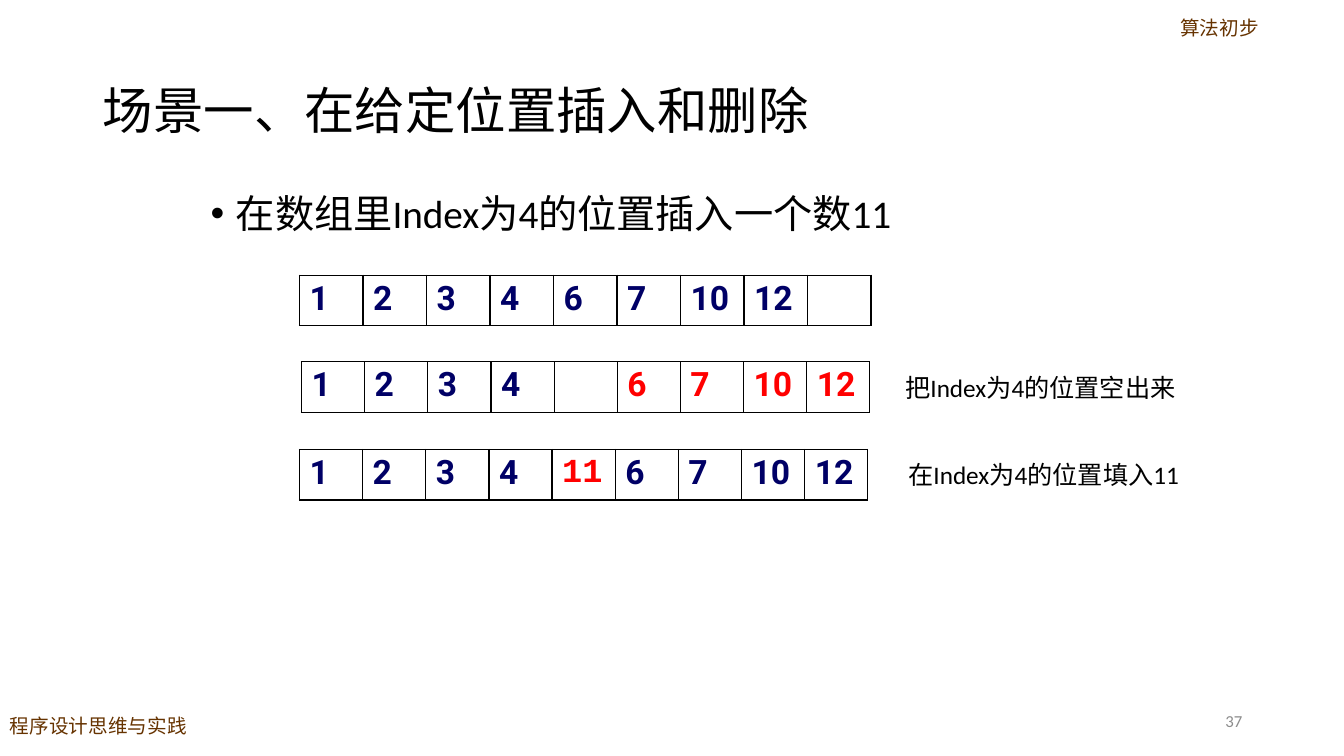
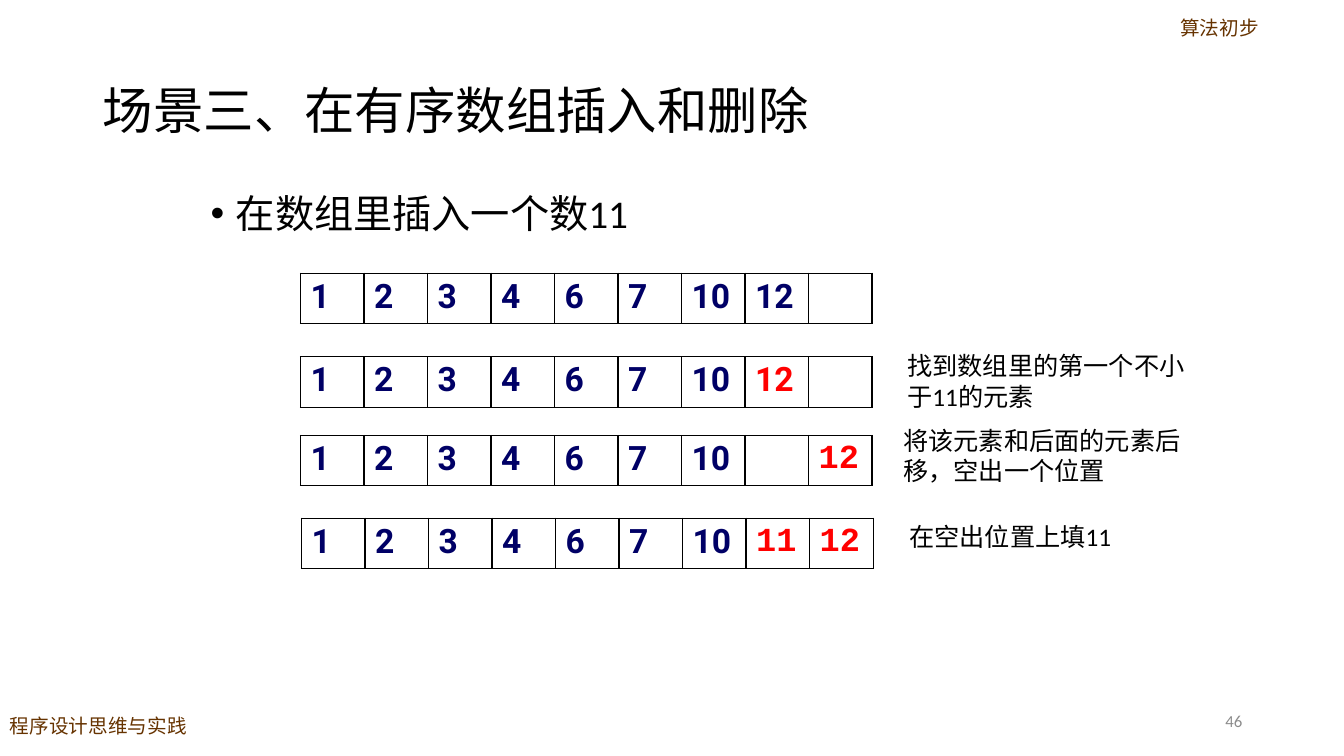
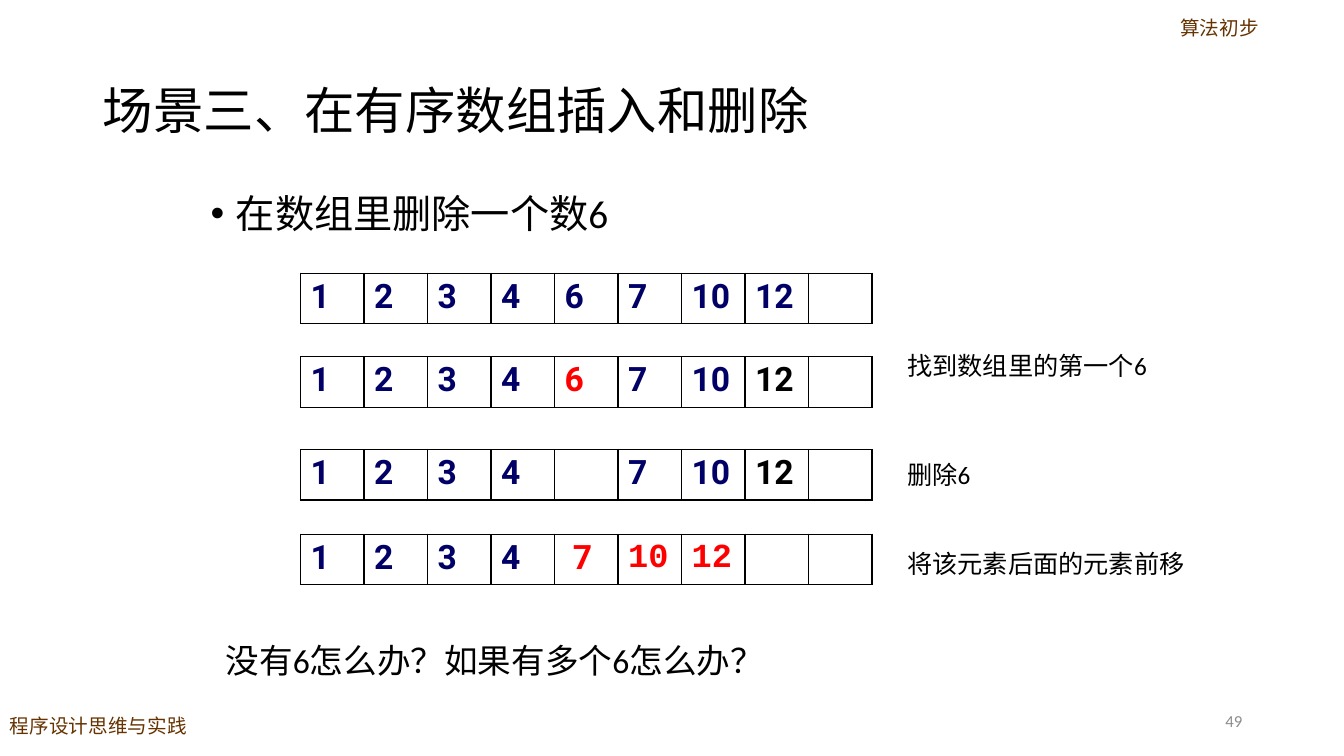
from lxml.etree import SubElement
from pptx import Presentation
from pptx.dml.color import RGBColor
from pptx.enum.text import MSO_ANCHOR, PP_ALIGN
from pptx.oxml.ns import qn
from pptx.util import Inches, Pt

BLACK, BROWN, GREY, NAVY, RED = "000000", "663300", "8C8C8C", "000066", "FF0000"
CJK, MONO, DIGITS = "Noto Sans CJK SC", "Courier New", "Roboto"
FULL = ["1", "2", "3", "4", "6", "7", "10", "12", ""]


def style(p, size, color=BLACK, font="Calibri", bold=False, spacing=None, align=PP_ALIGN.LEFT):
    p.alignment = align
    p.space_before = Pt(0)
    p.line_spacing = spacing
    for r in p.runs:
        r.font.size = Pt(size)
        r.font.bold = bold
        r.font.name = font
        r.font.color.rgb = RGBColor.from_string(color)
        SubElement(r.font._element, qn("a:ea")).set("typeface", CJK)


def add_text(s, text, left, top, width, height, size, anchor=MSO_ANCHOR.TOP, **look):
    tf = s.shapes.add_textbox(Inches(left), Inches(top), Inches(width), Inches(height)).text_frame
    tf.word_wrap = True
    tf.vertical_anchor = anchor
    tf.text = text
    style(tf.paragraphs[0], size, **look)


# Arrays: left, top, width, values, {index: (color, font)}
# Notes: left, top, width, height, size, text
slides = [
    dict(
        title="场景一、在给定位置插入和删除",
        task="在数组里Index为4的位置插入一个数11",
        number="37",
        arrays=[
            (2.97, 2.73, 5.67, FULL, {}),
            (2.99, 3.59, 5.64, ["1", "2", "3", "4", "", "6", "7", "10", "12"],
             {i: (RED, DIGITS) for i in range(5, 9)}),
            (2.97, 4.46, 5.64, ["1", "2", "3", "4", "11", "6", "7", "10", "12"],
             {4: (RED, MONO)}),
        ],
        notes=[
            (8.88, 3.64, 2.92, 0.4, 18, "把Index为4的位置空出来"),
            (8.91, 4.51, 2.91, 0.4, 18, "在Index为4的位置填入11"),
        ],
    ),
    dict(
        title="场景三、在有序数组插入和删除",
        task="在数组里插入一个数11",
        number="46",
        arrays=[
            (2.98, 2.71, 5.67, FULL, {}),
            (2.98, 3.54, 5.67, FULL, {7: (RED, DIGITS)}),
            (2.98, 4.32, 5.67, ["1", "2", "3", "4", "6", "7", "10", "", "12"],
             {8: (RED, MONO)}),
            (2.99, 5.14, 5.67, ["1", "2", "3", "4", "6", "7", "10", "11", "12"],
             {7: (RED, MONO), 8: (RED, MONO)}),
        ],
        notes=[
            (8.9, 3.43, 2.99, 0.71, 18, "找到数组里的第一个不小于11的元素"),
            (8.86, 4.17, 2.99, 0.71, 18, "将该元素和后面的元素后移，空出一个位置"),
            (8.92, 5.12, 2.99, 0.4, 18, "在空出位置上填11"),
        ],
    ),
    dict(
        title="场景三、在有序数组插入和删除",
        task="在数组里删除一个数6",
        number="49",
        arrays=[
            (2.98, 2.71, 5.67, FULL, {}),
            (2.98, 3.54, 5.67, FULL, {4: (RED, DIGITS), 7: (BLACK, DIGITS)}),
            (2.98, 4.46, 5.67, ["1", "2", "3", "4", "", "7", "10", "12", ""],
             {7: (BLACK, DIGITS)}),
            (2.98, 5.3, 5.67, ["1", "2", "3", "4", " 7", "10", "12", "", ""],
             {4: (RED, DIGITS), 5: (RED, MONO), 6: (RED, MONO)}),
        ],
        notes=[
            (8.9, 3.43, 2.99, 0.4, 18, "找到数组里的第一个6"),
            (8.9, 4.51, 2.99, 0.4, 18, "删除6"),
            (8.9, 5.39, 2.99, 0.4, 18, "将该元素后面的元素前移"),
            (2.14, 6.3, 6.78, 0.5, 24, "没有6怎么办？如果有多个6怎么办？"),
        ],
    ),
]

prs = Presentation()
prs.slide_width, prs.slide_height = Inches(13.33), Inches(7.5)

# Title and body places, set once on the layout
layout = prs.slide_layouts[1]
places = [(0.92, 0.4, 11.5, 1.45), (1.99, 1.88, 9.34, 4.76)]
for sp, place in zip(layout.placeholders, places):
    sp.left, sp.top, sp.width, sp.height = map(Inches, place)

for data in slides:
    s = prs.slides.add_slide(layout)

    # Header, footer and page number
    add_text(s, "程序设计思维与实践", 0, 7.06, 2.89, 0.44, 14,
             color=BROWN, font="Arial", spacing=0.9)
    add_text(s, "算法初步", 10.86, 0.13, 2.47, 0.39, 14,
             color=BROWN, font=CJK, spacing=0.9, align=PP_ALIGN.CENTER)
    add_text(s, data["number"], 9.42, 6.95, 3, 0.4, 12, anchor=MSO_ANCHOR.MIDDLE,
             color=GREY, align=PP_ALIGN.RIGHT)

    # Title and task
    s.shapes.title.text_frame.text = data["title"]
    style(s.shapes.title.text_frame.paragraphs[0], 36, font="Arial", spacing=0.9)
    body = s.placeholders[1].text_frame
    body.text = data["task"]
    p = body.paragraphs[0]
    style(p, 28, spacing=0.9)
    pPr = p._p.get_or_add_pPr()
    pPr.set("marL", str(Inches(0.25)))
    pPr.set("indent", str(Inches(-0.25)))

    # Array states
    for left, top, width, values, marks in data["arrays"]:
        table = s.shapes.add_table(1, len(values), Inches(left), Inches(top),
                                   Inches(width), Inches(0.5)).table
        table.first_row = table.horz_banding = False
        for i, value in enumerate(values):
            cell = table.cell(0, i)
            cell.text = value
            color, font = marks.get(i, (NAVY, DIGITS))
            style(cell.text_frame.paragraphs[0], 24, color, font, True, 0.95)
            tcPr = cell._tc.get_or_add_tcPr()
            for side in ("lnL", "lnR", "lnT", "lnB"):
                ln = SubElement(tcPr, qn(f"a:{side}"), w=str(Pt(1)))
                fill = SubElement(ln, qn("a:solidFill"))
                SubElement(fill, qn("a:srgbClr"), val=BLACK)
            cell.fill.background()

    # Explanations
    for left, top, width, height, size, text in data["notes"]:
        add_text(s, text, left, top, width, height, size)

prs.save("out.pptx")
